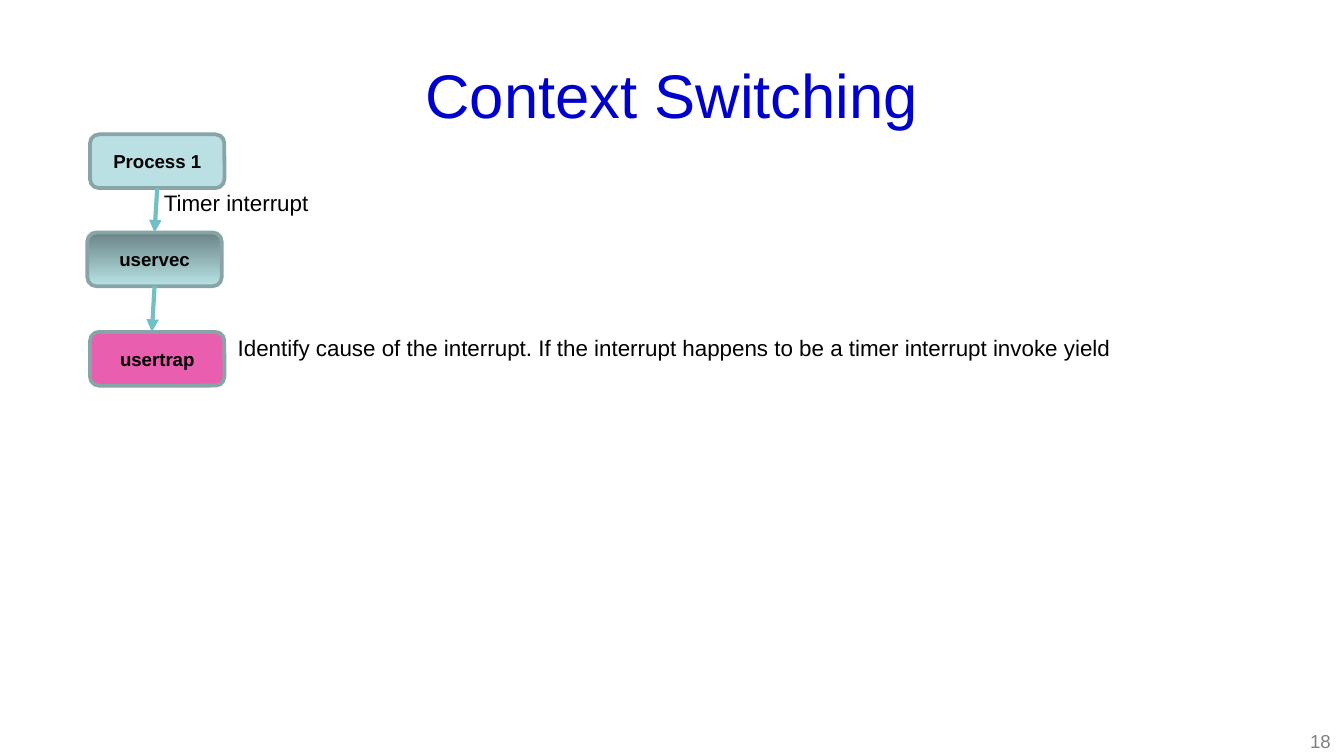
import pptx
import pptx.util
import pptx.dml.color
import pptx.enum.shapes
import pptx.enum.text
from lxml import etree
from pptx.oxml.ns import qn

Inches, Pt = pptx.util.Inches, pptx.util.Pt
ALIGN = pptx.enum.text.PP_ALIGN
ANCHOR = pptx.enum.text.MSO_ANCHOR

SLIDE_W = 10
SLIDE_H = SLIDE_W * 9 / 16
BOX_W, BOX_H = 1, 0.4
BORDER, ARROW = "89A4A7", "72BFC5"
STEPS = [
    ("Process 1", 0.67, 1, ["BBE0E3"]),
    ("uservec", 0.65, 1.73, ["6A8486", "B8E3E6"]),
    ("usertrap", 0.67, 2.47, ["E95EAF"]),
]
TEXTS = [
    ("Context Switching", (0.5, 0.23, 9, 0.94),
     dict(size=33, color="0000CC", align=ALIGN.CENTER, anchor=ANCHOR.MIDDLE)),
    ("18", (7.67, 5.38, 2.33, 0.27),
     dict(size=10, color="808080", align=ALIGN.RIGHT)),
    ("Timer interrupt", (1.12, 1.36, 1.28, 0.3), dict(wrap=False)),
    ("Identify cause of the interrupt. If the interrupt happens to be a timer interrupt invoke yield",
     (1.67, 2.44, 6.75, 0.3), dict(wrap=False)),
]
ARROWS = [(0, 1, 1.15), (1, 2, 1.13)]


def rgb(hex_color):
    return pptx.dml.color.RGBColor.from_string(hex_color)


def write(sp, text, size=12, color="000000", bold=False, align=ALIGN.LEFT,
          anchor=ANCHOR.TOP, wrap=True):
    tf = sp.text_frame
    tf.word_wrap = wrap
    if not wrap:
        tf.auto_size = pptx.enum.text.MSO_AUTO_SIZE.SHAPE_TO_FIT_TEXT
    tf.vertical_anchor = anchor
    p = tf.paragraphs[0]
    p.alignment = align
    r = p.add_run()
    r.text = text
    r.font.name, r.font.size, r.font.bold = "Arial", Pt(size), bold
    r.font.color.rgb = rgb(color)


def add_box(s, text, left, top, colors):
    sp = s.shapes.add_shape(pptx.enum.shapes.MSO_SHAPE.ROUNDED_RECTANGLE,
                            Inches(left), Inches(top), Inches(BOX_W), Inches(BOX_H))
    sp.shadow.inherit = False
    if len(colors) == 1:
        sp.fill.solid()
        sp.fill.fore_color.rgb = rgb(colors[0])
    else:
        sp.fill.gradient()
        sp.fill.gradient_angle = 270
        for stop, color in zip(sp.fill.gradient_stops, colors):
            stop.color.rgb = rgb(color)
    sp.line.color.rgb = rgb(BORDER)
    sp.line.width = Pt(2)
    write(sp, text, size=10, bold=True, align=ALIGN.CENTER, anchor=ANCHOR.MIDDLE)
    return sp


def add_arrow(s, start, end, end_x):
    x = Inches(end_x)
    cx = s.shapes.add_connector(pptx.enum.shapes.MSO_CONNECTOR.STRAIGHT,
                                start.left + start.width // 2, start.top + start.height,
                                x, end.top)
    cx.begin_connect(start, 2)
    if x == end.left + end.width // 2:
        cx.end_connect(end, 0)
    cx.line.color.rgb = rgb(ARROW)
    cx.line.width = Pt(2.25)
    etree.SubElement(cx.line._get_or_add_ln(), qn("a:tailEnd"), type="triangle")
    etree.SubElement(cx._element.spPr, qn("a:effectLst"))


prs = pptx.Presentation()
prs.slide_width, prs.slide_height = Inches(SLIDE_W), Inches(SLIDE_H)
s = prs.slides.add_slide(prs.slide_layouts[6])
for text, at, style in TEXTS:
    write(s.shapes.add_textbox(*map(Inches, at)), text, **style)
boxes = [add_box(s, *step) for step in STEPS]
for start, end, end_x in ARROWS:
    add_arrow(s, boxes[start], boxes[end], end_x)
prs.save("out.pptx")
